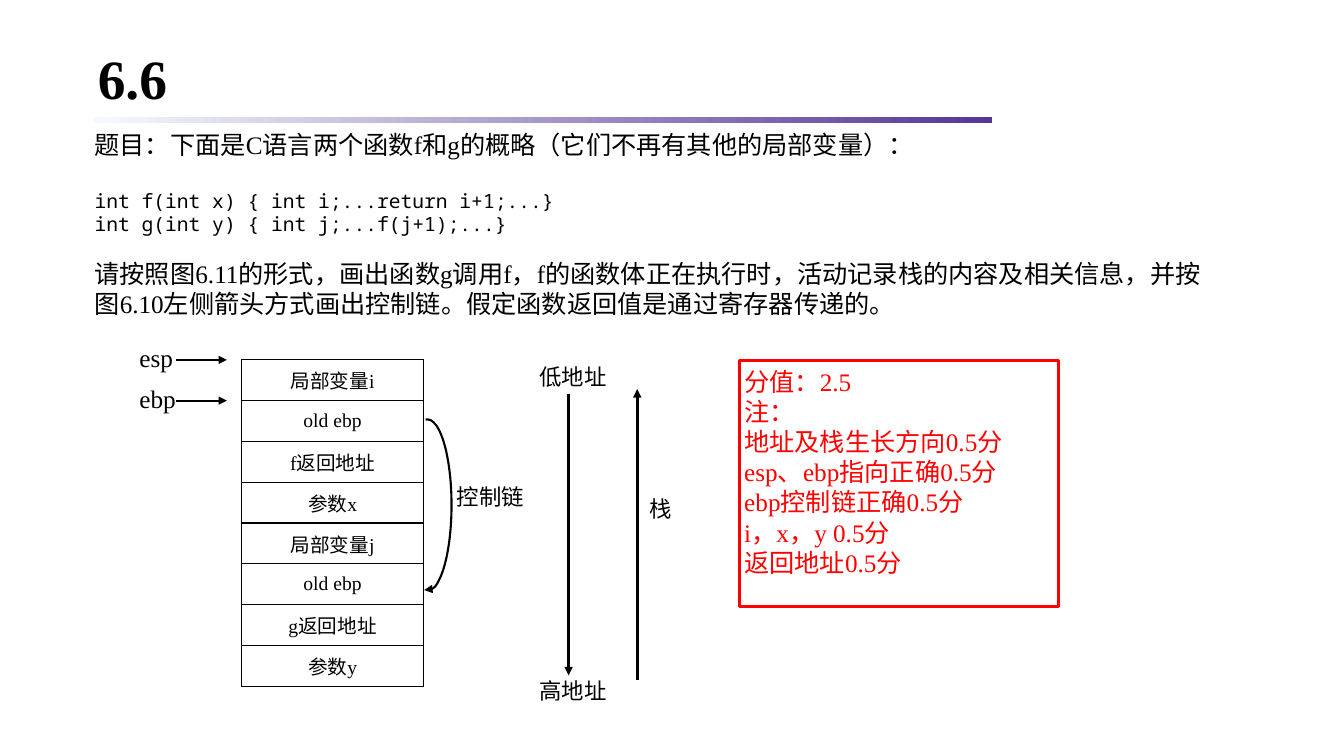
from lxml import etree
from pptx import Presentation
from pptx.dml.color import RGBColor
from pptx.enum.shapes import MSO_CONNECTOR, MSO_SHAPE
from pptx.enum.text import MSO_ANCHOR, MSO_AUTO_SIZE, PP_ALIGN
from pptx.oxml.ns import qn
from pptx.util import Inches, Pt

STRAIGHT = MSO_CONNECTOR.STRAIGHT
RECTANGLE, ARC = MSO_SHAPE.RECTANGLE, MSO_SHAPE.ARC
TOP, MIDDLE = MSO_ANCHOR.TOP, MSO_ANCHOR.MIDDLE
LEFT, CENTER = PP_ALIGN.LEFT, PP_ALIGN.CENTER
NO_AUTOFIT = MSO_AUTO_SIZE.NONE

COLORS = {
    "black": "000000",
    "red": "FF0000",
    "bar_start": "F7FAFD",
    "bar_end": "543795",
}
SERIF = "Times New Roman"
MONO = "Noto Sans Mono"
TITLE_ONLY = 5
GRID = 100

FRAME_ROWS = ["局部变量i", "old ebp", "f返回地址", "参数x",
              "局部变量j", "old ebp", "g返回地址", "参数y"]
FRAME_LEFT, FRAME_TOP, FRAME_WIDTH, ROW_HEIGHT = 18, 47.6, 13.5, 5.4
REGISTERS = ["esp", "ebp"]
LABELS = [
    ("低地址", 39.76, 47.33, 7.58),
    ("高地址", 39.76, 88.93, 7.58),
    ("栈", 47.94, 64.8, 4.5),
    ("控制链", 33.61, 63.2, 7.58),
]
QUESTION = [
    ("题目：下面是C语言两个函数f和g的概略（它们不再有其他的局部变量）：", {}),
    ("int f(int x) { int i;...return i+1;...}",
     {"font": MONO, "size": 14, "space_before": 21}),
    ("int g(int y) { int j;...f(j+1);...}", {"font": MONO, "size": 14}),
    ("请按照图6.11的形式，画出函数g调用f，f的函数体正在执行时，活动记录栈的内容及相关信息，"
     "并按图6.10左侧箭头方式画出控制链。假定函数返回值是通过寄存器传递的。",
     {"space_before": 16}),
]
SCORING = ["分值：2.5", "注：", "地址及栈生长方向0.5分", "esp、ebp指向正确0.5分",
           "ebp控制链正确0.5分", "i，x，y 0.5分", "返回地址0.5分"]


def color(name):
    return RGBColor.from_string(COLORS[name])


def write(text_frame, text, *, size=18, font=SERIF, ink="black", bold=False,
          align=LEFT, space_before=0, line_spacing=1.0):
    paragraph = text_frame.paragraphs[-1]
    if paragraph.runs:
        paragraph = text_frame.add_paragraph()
    paragraph.alignment = align
    paragraph.space_before = Pt(space_before)
    paragraph.line_spacing = line_spacing
    run = paragraph.add_run()
    run.text = text
    run.font.size = Pt(size)
    run.font.name = font
    run.font.bold = bold
    run.font.color.rgb = color(ink)


class SlideBuilder:
    def __init__(self, presentation):
        self.column = presentation.slide_width / GRID
        self.row = presentation.slide_height / GRID
        self.slide = presentation.slides.add_slide(presentation.slide_layouts[TITLE_ONLY])
        self.shapes = self.slide.shapes

    def box(self, left, top, width, height):
        return (round(left * self.column), round(top * self.row),
                round(width * self.column), round(height * self.row))

    def prepare(self, text_frame, inset=0.05, anchor=TOP):
        text_frame.word_wrap = True
        text_frame.auto_size = NO_AUTOFIT
        text_frame.vertical_anchor = anchor
        text_frame.margin_left = text_frame.margin_right = Inches(inset)
        text_frame.margin_top = text_frame.margin_bottom = Inches(0.05)
        return text_frame

    def stroke(self, line, ink, width, arrow=False):
        line.color.rgb = color(ink)
        line.width = Pt(width)
        if arrow:
            line_element = line.fill._xPr
            etree.SubElement(line_element, qn("a:tailEnd"), type="triangle")

    def title(self, text, *place):
        title = self.shapes.title
        title.left, title.top, title.width, title.height = self.box(*place)
        text_frame = self.prepare(title.text_frame, anchor=MIDDLE)
        write(text_frame, text, size=39.6, bold=True, line_spacing=0.9)

    def gradient_bar(self, *place):
        bar = self.shapes.add_shape(RECTANGLE, *self.box(*place))
        bar.shadow.inherit = False
        bar.line.fill.background()
        bar.fill.gradient()
        bar.fill.gradient_angle = 0
        for stop, name in zip(bar.fill.gradient_stops, ("bar_start", "bar_end")):
            stop.color.rgb = color(name)

    def text_box(self, paragraphs, *place, inset=0.05):
        text_box = self.shapes.add_textbox(*self.box(*place))
        text_frame = self.prepare(text_box.text_frame, inset)
        for text, text_format in paragraphs:
            write(text_frame, text, **text_format)

    def outlined_shape(self, kind, place, ink="black", width=1.5, arrow=False):
        shape = self.shapes.add_shape(kind, *self.box(*place))
        shape.shadow.inherit = False
        shape.fill.background()
        self.stroke(shape.line, ink, width, arrow)
        return shape

    def note(self, lines, *place):
        note = self.outlined_shape(RECTANGLE, place, "red", 2.25)
        text_frame = self.prepare(note.text_frame)
        for text in lines:
            write(text_frame, text, ink="red")

    def curved_arrow(self, *place):
        arc = self.outlined_shape(ARC, place, arrow=True)
        arc.adjustments[0] = 161.32
        arc.adjustments[1] = 55.26

    def arrow(self, start, end, width):
        start_x, start_y, end_x, end_y = self.box(*start, *end)
        connector = self.shapes.add_connector(STRAIGHT, start_x, start_y, end_x, end_y)
        self.stroke(connector.line, "black", width, arrow=True)
        etree.SubElement(connector._element.spPr, qn("a:effectLst"))

    def table(self, texts, left, top, width, row_height):
        place = self.box(left, top, width, row_height * len(texts))
        table = self.shapes.add_table(len(texts), 1, *place).table
        table.first_row = table.horz_banding = False
        for index, text in enumerate(texts):
            table.rows[index].height = round(row_height * self.row)
            cell = table.cell(index, 0)
            cell.vertical_anchor = MIDDLE
            write(cell.text_frame, text, size=14, align=CENTER)
            self.cell_borders(cell)
            cell.fill.background()

    def cell_borders(self, cell):
        properties = cell._tc.get_or_add_tcPr()
        for side in ("a:lnL", "a:lnR", "a:lnT", "a:lnB"):
            border = etree.SubElement(properties, qn(side), w=str(Pt(1)))
            fill = etree.SubElement(border, qn("a:solidFill"))
            etree.SubElement(fill, qn("a:srgbClr"), val=COLORS["black"])


def main():
    presentation = Presentation()
    presentation.slide_width = Inches(13.33)
    presentation.slide_height = Inches(7.5)
    builder = SlideBuilder(presentation)

    builder.gradient_bar(6.9, 15.47, 66.92, 0.75)
    builder.title("6.6", 6.9, 5.73, 86.27, 10)
    builder.text_box(QUESTION, 6.3, 16.4, 85.15, 30.93, inset=0.1)
    builder.table(FRAME_ROWS, FRAME_LEFT, FRAME_TOP, FRAME_WIDTH, ROW_HEIGHT)

    for index, register in enumerate(REGISTERS):
        pointer_y = FRAME_TOP + index * ROW_HEIGHT
        builder.text_box([(register, {})], 10, pointer_y - 2.93, 4.05, 5.33)
        builder.arrow((13.13, pointer_y), (16.88, pointer_y), 1.5)

    builder.arrow((42.31, 52.13), (42.31, 89.33), 2)
    builder.arrow((47.41, 90), (47.41, 51.47), 2)
    builder.curved_arrow(30, 55.47, 3.6, 22.67)
    builder.note(SCORING, 55, 47.73, 23.78, 32.53)
    for text, left, top, width in LABELS:
        builder.text_box([(text, {"size": 16})], left, top, width, 4.93)

    presentation.save("out.pptx")


if __name__ == "__main__":
    main()
